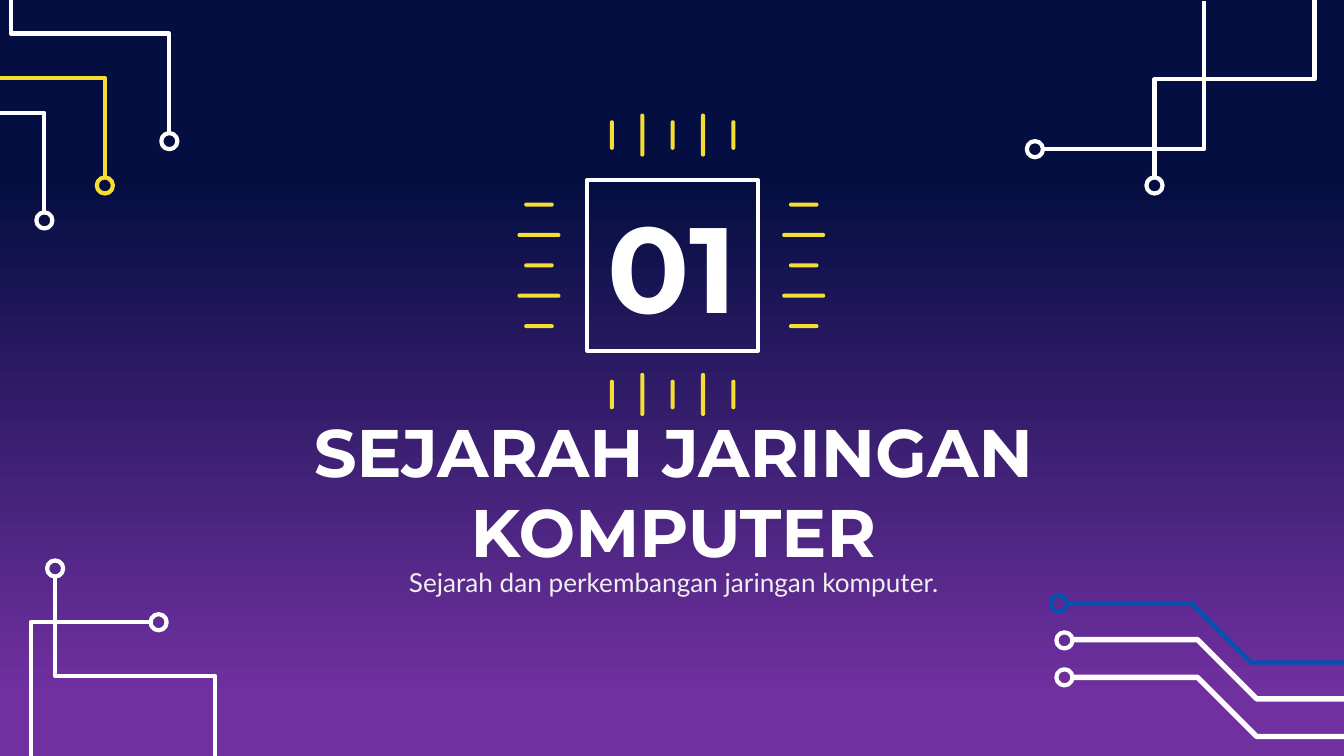
from dataclasses import dataclass

from pptx import Presentation
from pptx.dml.color import RGBColor
from pptx.enum.shapes import MSO_SHAPE
from pptx.enum.text import MSO_ANCHOR, MSO_AUTO_SIZE, PP_ALIGN
from pptx.util import Inches, Pt


@dataclass(frozen=True)
class Theme:
    """Colours, fonts and sizes of the slide."""
    night: str = "040E41"
    purple: str = "7030A0"
    white: str = "FFFFFF"
    pale: str = "EFEFEF"
    yellow: str = "F5DE34"
    blue: str = "0152B1"
    head_font: str = "Montserrat"
    body_font: str = "Lato"
    title_size: float = 36
    number_size: float = 65
    body_size: float = 14
    line: float = 2.25
    bus_line: float = 2.9


THEME = Theme()
COLS, ROWS = 1000, 562.5
UNIT = Inches(10) / COLS
RING = 12
RING_GAP = 5


def grid(*values):
    """Turn grid units into slide lengths."""
    return [round(v * UNIT) for v in values]


def rgb(colour):
    """Return a colour object for a hex string."""
    return RGBColor.from_string(colour)


def outline(sp, colour, width=THEME.line):
    """Leave a shape unfilled and give it a plain line."""
    sp.shadow.inherit = False
    sp.fill.background()
    sp.line.color.rgb = rgb(colour)
    sp.line.width = Pt(width)


def write(sp, text, font=THEME.head_font, size=THEME.title_size,
          colour=THEME.white, bold=True):
    """Put centred, formatted text in a shape."""
    tf = sp.text_frame
    tf.word_wrap = True
    tf.auto_size = MSO_AUTO_SIZE.NONE
    tf.vertical_anchor = MSO_ANCHOR.MIDDLE
    tf.margin_left = tf.margin_right = tf.margin_top = tf.margin_bottom = Inches(0.1)
    p = tf.paragraphs[0]
    p.alignment = PP_ALIGN.CENTER
    r = p.add_run()
    r.text = text
    r.font.name = font
    r.font.size = Pt(size)
    r.font.bold = bold
    r.font.color.rgb = rgb(colour)


def trace(s, points, colour=THEME.white, width=THEME.line):
    """Draw a circuit trace with a ring before its first point."""
    (x, y), (nx, ny) = points[:2]
    fb = s.shapes.build_freeform(x, y, scale=UNIT)
    fb.add_line_segments(points[1:], close=False)
    outline(fb.convert_to_shape(), colour, width)
    reach = max(abs(nx - x), abs(ny - y))
    cx = x - RING_GAP * (nx - x) / reach
    cy = y - RING_GAP * (ny - y) / reach
    ring = s.shapes.add_shape(
        MSO_SHAPE.OVAL, *grid(cx - RING / 2, cy - RING / 2, RING, RING))
    outline(ring, colour)


def corner(s, box, traces):
    """Draw the traces of one corner, placed from the corner's own origin."""
    left, top = box
    for colour, points in traces:
        trace(s, [(left + x, top + y) for x, y in points], colour)


def bus(s, box, colours):
    """Draw parallel traces that step down to the right edge."""
    left, top, pitch = box
    for i, colour in enumerate(colours):
        x = left + (4 if i else 0)
        y = top + i * pitch
        width = THEME.bus_line if i else THEME.line
        trace(s, [(x, y), (x + 94, y), (x + 138, y + 44), (x + 212, y + 44)],
              colour, width)


def pins(s, cx, cy, upright, pitch=22.6, thick=3):
    """Draw five pins, short and long in turn, centred on a point."""
    for i in range(5):
        length = 32 if i % 2 else 22
        shift = (i - 2) * pitch
        x, y, w, h = ((cx + shift, cy, thick, length) if upright
                      else (cx, cy + shift, length, thick))
        sp = s.shapes.add_shape(
            MSO_SHAPE.ROUNDED_RECTANGLE, *grid(x - w / 2, y - h / 2, w, h))
        sp.adjustments[0] = 0.5
        sp.shadow.inherit = False
        sp.fill.solid()
        sp.fill.fore_color.rgb = rgb(THEME.yellow)
        sp.line.fill.background()


def chip(s, box, number):
    """Draw the numbered chip with pins on its four sides."""
    left, top, side = box
    sp = s.shapes.add_shape(MSO_SHAPE.RECTANGLE, *grid(left, top, side, side))
    outline(sp, THEME.white)
    write(sp, number, size=THEME.number_size)
    cx, cy = left + side / 2, top + side / 2
    for way in (-1, 1):
        pins(s, cx - 1 + way * 98.5, cy, upright=False)
        pins(s, cx, cy - 0.5 + way * 96.5, upright=True)


def headings(s, box, title, subtitle):
    """Place the title and the line under it in one centred block."""
    left, top, width, height = box
    sp = s.shapes.title
    sp.left, sp.top, sp.width, sp.height = grid(left, top, width, height)
    write(sp, title)
    sub = s.shapes.add_textbox(*grid(left + 98, top + height, 451, 46))
    write(sub, subtitle, font=THEME.body_font, size=THEME.body_size,
          colour=THEME.pale, bold=False)


def background(s):
    """Fill the slide with a vertical gradient."""
    fill = s.background.fill
    fill.gradient()
    fill.gradient_angle = 270
    stops = zip(fill.gradient_stops, (0.24, 0.92), (THEME.night, THEME.purple))
    for stop, position, colour in stops:
        stop.position = position
        stop.color.rgb = rgb(colour)


def section_slide(prs):
    """Build the section opening slide."""
    s = prs.slides.add_slide(prs.slide_layouts[5])
    background(s)
    white, yellow = THEME.white, THEME.yellow
    bus(s, (793, 449, 27.5), (THEME.blue, white, white))
    corner(s, (23, 428), [
        (white, [(18, 0), (18, 75), (137, 75), (137, 144)]),
        (white, [(90, 35), (0, 35), (0, 143)])])
    corner(s, (775, 0), [
        (white, [(0, 111), (121, 111), (121, 1)]),
        (white, [(84, 133), (84, 59), (203, 59), (203, -11)])])
    corner(s, (0, 0), [
        (colour, [(x, y), (x, y - 75), (x - 118, y - 75), (x - 118, y - 143)])
        for colour, x, y in ((white, 33, 159), (yellow, 78, 133), (white, 126, 100))])
    headings(s, (178, 320, 646, 90), "SEJARAH JARINGAN KOMPUTER",
             "Sejarah dan perkembangan jaringan komputer.")
    chip(s, (437, 134, 127), "01")


def main():
    """Create the presentation and save it."""
    prs = Presentation()
    prs.slide_width, prs.slide_height = grid(COLS, ROWS)
    section_slide(prs)
    prs.save("out.pptx")


if __name__ == "__main__":
    main()
